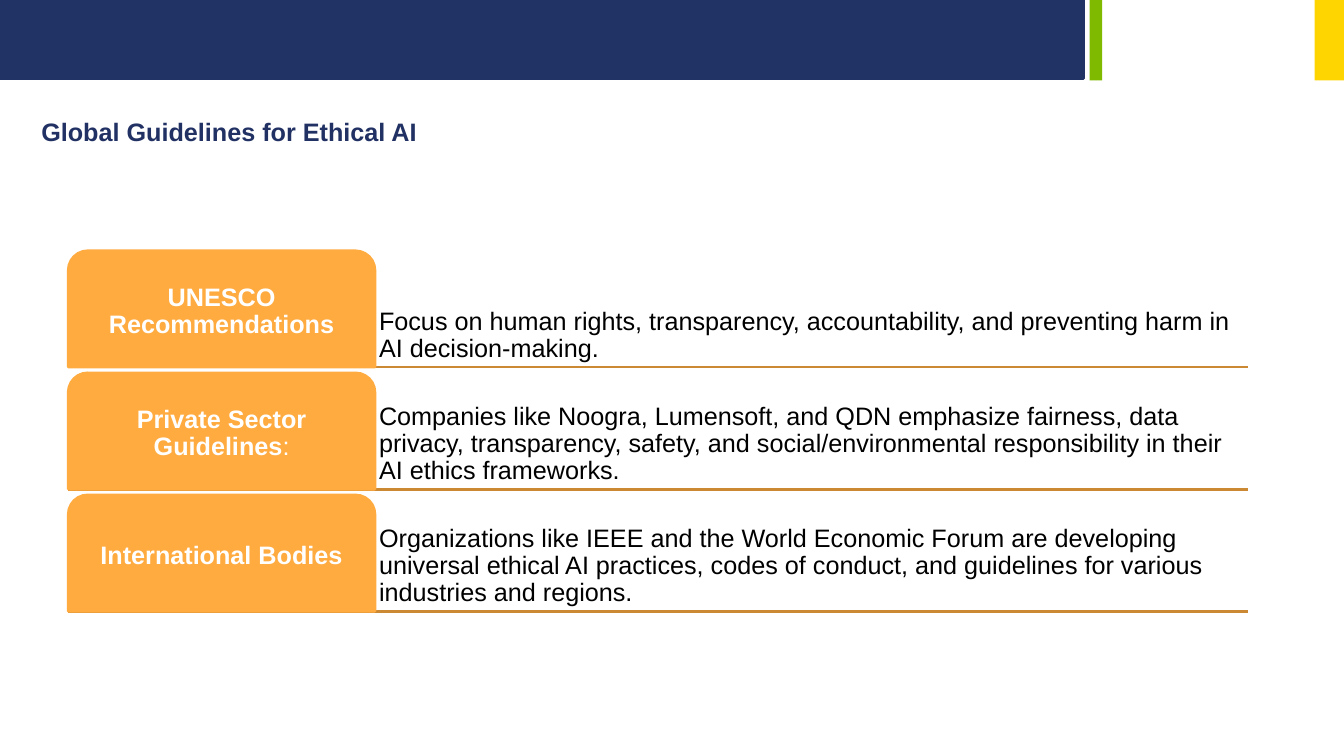
from dataclasses import dataclass

from lxml.etree import SubElement
from pptx import Presentation
from pptx.dml.color import RGBColor
from pptx.enum.shapes import MSO_CONNECTOR as Connector, MSO_SHAPE as Preset
from pptx.enum.text import MSO_ANCHOR as Anchor, MSO_AUTO_SIZE as AutoSize, PP_ALIGN as Align
from pptx.oxml.ns import qn
from pptx.shapes.autoshape import Shape
from pptx.slide import Slide
from pptx.text.text import TextFrame
from pptx.util import Pt


@dataclass(frozen=True)
class Theme:
    font: str = "Arial"
    text_size: float = 18
    line_width: float = 2
    navy: str = "213264"
    title: str = "213163"
    green: str = "7FBA00"
    yellow: str = "FED500"
    orange: str = "FFAB40"
    rule: str = "CC8933"
    white: str = "FFFFFF"
    black: str = "000000"


@dataclass(frozen=True)
class Box:
    left: float
    top: float
    width: float
    height: float

    def lengths(self) -> tuple[Pt, Pt, Pt, Pt]:
        return Pt(self.left), Pt(self.top), Pt(self.width), Pt(self.height)


@dataclass(frozen=True)
class Band:
    box: Box
    color: str
    outlined: bool = False


@dataclass(frozen=True)
class TextRun:
    text: str
    bold: bool = False


@dataclass(frozen=True)
class Guideline:
    label: tuple[TextRun, ...]
    description: str


THEME = Theme()
TITLE_BOX = Box(22.3, 79.2, 481, 28.8)
ROWS_TOP, ROW_PITCH, ROW_HEIGHT = 179.2, 87.2, 83
TAB_LEFT, TAB_WIDTH, DESCRIPTION_WIDTH = 48.8, 219, 623.5
INSET = 3

HEADER_BANDS = (
    Band(Box(0, 0, 774, 56.2), THEME.navy, outlined=True),
    Band(Box(778.3, 0, 8.9, 57.5), THEME.green),
    Band(Box(939, 0, 21, 57.5), THEME.yellow),
)

GUIDELINES = (
    Guideline(
        (TextRun("UNESCO Recommendations", True),),
        "Focus on human rights, transparency, accountability, and preventing harm in "
        "AI decision-making.",
    ),
    Guideline(
        (TextRun("Private Sector Guidelines", True), TextRun(":")),
        "Companies like Noogra, Lumensoft, and QDN emphasize fairness, data privacy, "
        "transparency, safety, and social/environmental responsibility in their AI ethics "
        "frameworks.",
    ),
    Guideline(
        (TextRun("International Bodies", True),),
        "Organizations like IEEE and the World Economic Forum are developing "
        "universal ethical AI practices, codes of conduct, and guidelines for various "
        "industries and regions.",
    ),
)


def add_filled_shape(slide: Slide, preset: Preset, box: Box, color: str, outlined: bool) -> Shape:
    shape = slide.shapes.add_shape(preset, *box.lengths())
    shape.shadow.inherit = False
    shape.fill.solid()
    shape.fill.fore_color.rgb = RGBColor.from_string(color)
    if outlined:
        shape.line.color.rgb = RGBColor.from_string(color)
        shape.line.width = Pt(THEME.line_width)
    else:
        shape.line.fill.background()
    return shape


def write_runs(frame: TextFrame, runs: tuple[TextRun, ...], color: str, align: Align) -> None:
    paragraph = frame.paragraphs[0]
    paragraph.alignment = align
    for text_run in runs:
        run = paragraph.add_run()
        run.text = text_run.text
        run.font.name = THEME.font
        run.font.size = Pt(THEME.text_size)
        run.font.bold = text_run.bold
        run.font.color.rgb = RGBColor.from_string(color)


def set_row_layout(frame: TextFrame, anchor: Anchor) -> None:
    """Give a row's text its insets, anchor and tight line spacing."""
    frame.word_wrap = True
    frame.vertical_anchor = anchor
    frame.margin_left = frame.margin_right = Pt(INSET)
    frame.margin_top = frame.margin_bottom = Pt(INSET)
    frame.paragraphs[0].line_spacing = 0.9


def add_title(slide: Slide, text: str) -> None:
    title = slide.shapes.title
    title.left, title.top, title.width, title.height = TITLE_BOX.lengths()
    frame = title.text_frame
    frame.word_wrap = True
    frame.auto_size = AutoSize.SHAPE_TO_FIT_TEXT
    frame.vertical_anchor = Anchor.TOP
    write_runs(frame, (TextRun(text, True),), THEME.title, Align.LEFT)


def add_rule(slide: Slide, y: float) -> None:
    right = TAB_LEFT + TAB_WIDTH + DESCRIPTION_WIDTH
    rule = slide.shapes.add_connector(Connector.STRAIGHT, Pt(TAB_LEFT), Pt(y), Pt(right), Pt(y))
    rule.line.color.rgb = RGBColor.from_string(THEME.rule)
    rule.line.width = Pt(THEME.line_width)
    SubElement(rule._element.spPr, qn("a:effectLst"))


def add_guideline(slide: Slide, guideline: Guideline, top: float) -> None:
    add_rule(slide, top + ROW_HEIGHT)

    description_box = Box(TAB_LEFT + TAB_WIDTH, top, DESCRIPTION_WIDTH, ROW_HEIGHT)
    description = slide.shapes.add_textbox(*description_box.lengths()).text_frame
    set_row_layout(description, Anchor.BOTTOM)
    write_runs(description, (TextRun(guideline.description),), THEME.black, Align.LEFT)

    tab_box = Box(TAB_LEFT, top, TAB_WIDTH, ROW_HEIGHT)
    tab = add_filled_shape(slide, Preset.ROUND_2_SAME_RECTANGLE, tab_box, THEME.orange, True)
    tab.adjustments[0] = 0.167
    set_row_layout(tab.text_frame, Anchor.MIDDLE)
    write_runs(tab.text_frame, guideline.label, THEME.white, Align.CENTER)


def main() -> None:
    presentation = Presentation()
    presentation.slide_width, presentation.slide_height = Pt(960), Pt(540)
    slide = presentation.slides.add_slide(presentation.slide_layouts.get_by_name("Title Only"))
    for band in HEADER_BANDS:
        add_filled_shape(slide, Preset.RECTANGLE, band.box, band.color, band.outlined)
    add_title(slide, "Global Guidelines for Ethical AI")
    for index, guideline in enumerate(GUIDELINES):
        add_guideline(slide, guideline, ROWS_TOP + index * ROW_PITCH)
    presentation.save("out.pptx")


if __name__ == "__main__":
    main()
